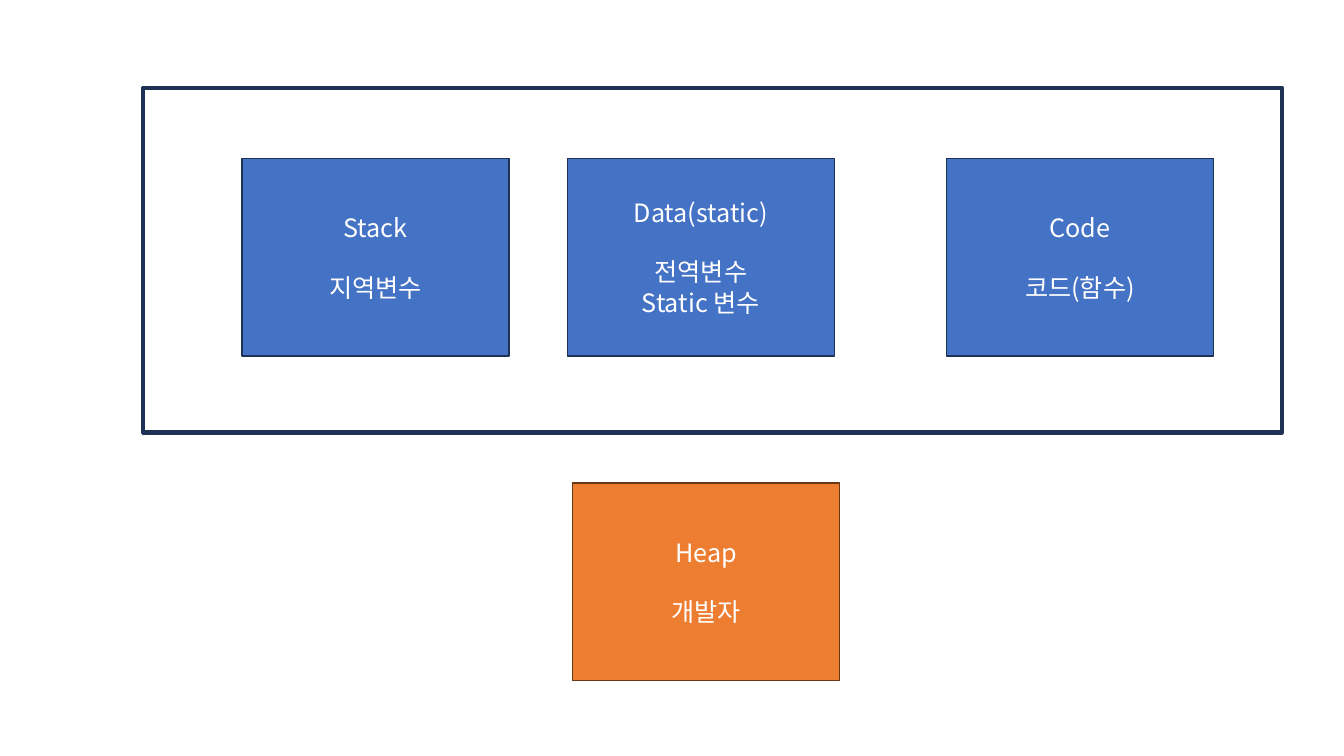
from lxml.etree import SubElement
from pptx import Presentation
from pptx.dml.color import RGBColor
from pptx.enum.shapes import MSO_SHAPE
from pptx.enum.text import MSO_ANCHOR, PP_ALIGN
from pptx.oxml.ns import qn
from pptx.util import Cm, Pt

COLORS = {"blue": "4472C4", "navy": "1E3256", "orange": "ED7D31",
          "brown": "683715", "white": "FFFFFF"}
FONT = "Noto Sans CJK KR"
FONT_FORMAT = {"name": FONT, "size": Pt(18),
               "color": RGBColor.from_string(COLORS["white"])}
BLOCK_WIDTH, BLOCK_HEIGHT = 6.73, 4.98
HEADING_GAP = Pt(21)

# Left offset inside the process frame, heading, contents
SEGMENTS = [
    (2.49, "Stack", ["지역변수"]),
    (10.69, "Data(static)", ["전역변수", "Static 변수"]),
    (20.24, "Code", ["코드(함수)"]),
]


def add_box(slide, left, top, width, height, fill, line, line_width):
    shape = slide.shapes.add_shape(
        MSO_SHAPE.RECTANGLE, Cm(left), Cm(top), Cm(width), Cm(height))
    shape.shadow.inherit = False
    if fill:
        shape.fill.solid()
        shape.fill.fore_color.rgb = RGBColor.from_string(COLORS[fill])
    else:
        shape.fill.background()
    shape.line.color.rgb = RGBColor.from_string(COLORS[line])
    shape.line.width = Pt(line_width)
    return shape


def format_font(font):
    for name, value in FONT_FORMAT.items():
        if name == "color":
            font.color.rgb = value
        else:
            setattr(font, name, value)


def add_memory_block(slide, left, top, heading, contents, fill, line):
    shape = add_box(slide, left, top, BLOCK_WIDTH, BLOCK_HEIGHT, fill, line, 1)
    text_frame = shape.text_frame
    text_frame.word_wrap = True
    text_frame.vertical_anchor = MSO_ANCHOR.MIDDLE
    text_frame.text = "\n".join([heading, *contents])
    for index, paragraph in enumerate(text_frame.paragraphs):
        paragraph.alignment = PP_ALIGN.CENTER
        if index == 1:
            paragraph.space_before = HEADING_GAP
        for run in paragraph.runs:
            format_font(run.font)
            # Korean letters take the East Asian font
            SubElement(run.font._element, qn("a:ea"), typeface=FONT)


def add_process_region(slide, left, top, width, height):
    for offset, heading, contents in SEGMENTS:
        add_memory_block(slide, left + offset, top + 1.78,
                         heading, contents, "blue", "navy")
    add_box(slide, left, top, width, height, None, "navy", 3)


def main():
    presentation = Presentation()
    presentation.slide_width, presentation.slide_height = Cm(33.87), Cm(19.05)
    slide = presentation.slides.add_slide(presentation.slide_layouts[6])

    # Fixed segments in a frame, heap below it
    add_process_region(slide, 3.61, 2.21, 28.7, 8.69)
    add_memory_block(slide, 14.43, 12.17, "Heap", ["개발자"], "orange", "brown")

    presentation.save("out.pptx")


if __name__ == "__main__":
    main()
